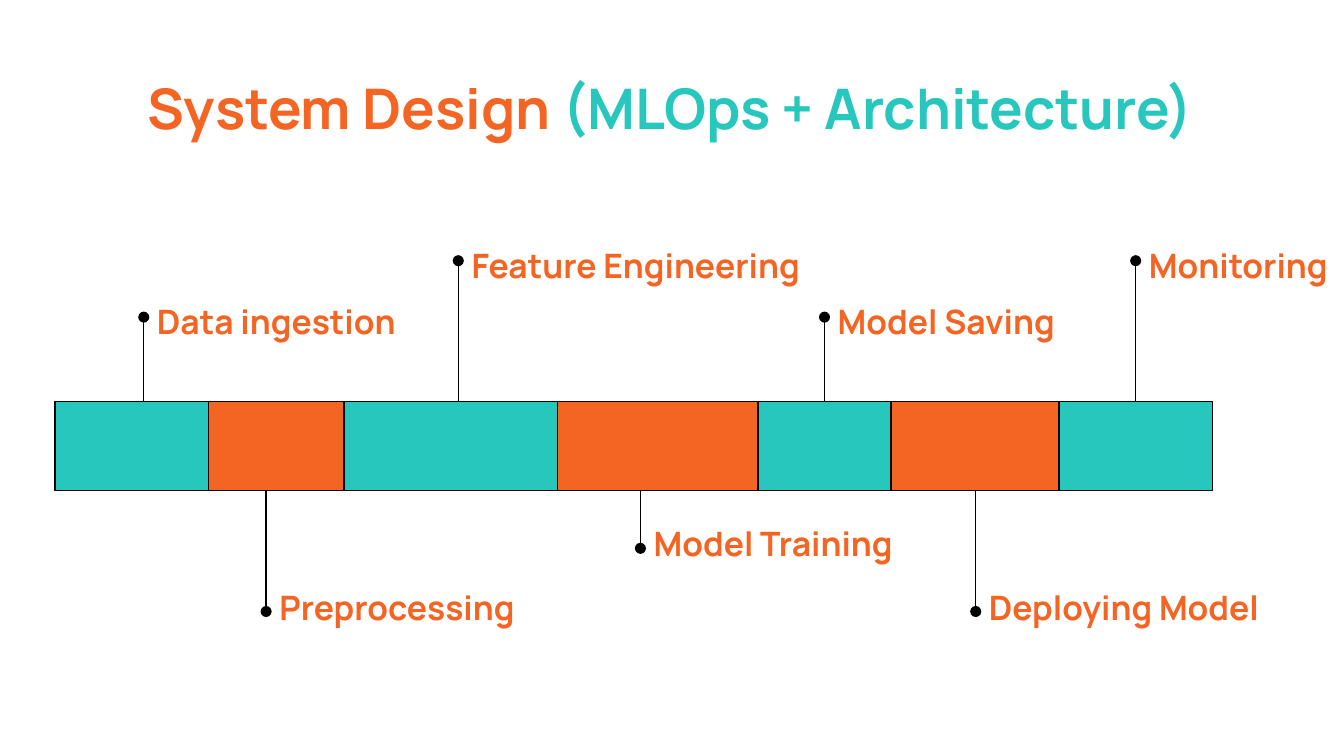
from pptx import Presentation
from pptx.dml.color import RGBColor as Rgb
from pptx.enum.shapes import MSO_CONNECTOR as Link, MSO_SHAPE as Form
from pptx.enum.text import MSO_ANCHOR as Anchor, PP_ALIGN as Align
from pptx.oxml.ns import qn
from pptx.util import Inches, Pt
from lxml.etree import SubElement as Sub

COLS, ROWS = 100, 56.25
ORANGE, TEAL, BLACK = "F46524", "27C7BD", "000000"
BAR = (4.1, 29.9, 86.1, 6.6)
TITLE = (3.3, 4.5, 93.2, 7)
STAGES = [
    ("Data ingestion", 0, 11.4, 10.7, 23.6, 21.4),
    ("Preprocessing", 11.4, 10.1, 19.8, 45.5, 22.8),
    ("Feature Engineering", 21.5, 15.9, 34.1, 19.4, 26.8),
    ("Model Training", 37.4, 15.9, 47.65, 40.8, 20.3),
    ("Model Saving", 52.3, 10, 61.35, 23.6, 19),
    ("Deploying Model", 62.2, 12.5, 72.6, 45.5, 22.8),
    ("Monitoring", 74.7, 11.4, 84.5, 19.4, 15.5),
]

deck = Presentation()
deck.slide_width, deck.slide_height = Inches(10), Inches(10 * 9 / 16)
slide = deck.slides.add_slide(deck.slide_layouts[6])


def grid(x, y):
    return round(deck.slide_width * x / COLS), round(deck.slide_height * y / ROWS)


def tint(code):
    return Rgb.from_string(code)


def write(box, parts, size, align=Align.LEFT, anchor=Anchor.MIDDLE):
    frame = slide.shapes.add_textbox(*grid(*box[:2]), *grid(*box[2:])).text_frame
    frame.word_wrap = True
    frame.vertical_anchor = anchor
    frame.margin_left = frame.margin_right = Inches(0.1)
    frame.margin_top = frame.margin_bottom = Inches(0.1)
    para = frame.paragraphs[0]
    para.alignment = align
    for text, color in parts:
        run = para.add_run()
        run.text = text
        font = run.font
        font.name, font.size, font.bold = "Manrope", Pt(size), True
        font.color.rgb = tint(color)


def edge(shape):
    shape.line.color.rgb = tint(BLACK)
    shape.line.width = Pt(0.75)


def draw_block(box, color):
    block = slide.shapes.add_shape(Form.RECTANGLE, *grid(*box[:2]), *grid(*box[2:]))
    block.shadow.inherit = False
    block.fill.solid()
    block.fill.fore_color.rgb = tint(color)
    edge(block)


def draw_pin(col, start, tip):
    pin = slide.shapes.add_connector(Link.STRAIGHT, *grid(col, start), *grid(col, tip))
    edge(pin)
    props = pin.element.spPr
    Sub(props.find(qn("a:ln")), qn("a:tailEnd"), type="oval")
    Sub(props, qn("a:effectLst"))


def draw_title(box):
    parts = [("System Design ", ORANGE), ("(MLOps + Architecture)", TEAL)]
    write(box, parts, 30, Align.CENTER, Anchor.TOP)


def draw_line(box):
    left, top, _, height = box
    for i, (name, start, width, col, tip, span) in enumerate(STAGES):
        above = tip < top
        draw_pin(col, top if above else top + height, tip)
        draw_block((left + start, top, width, height), (TEAL, ORANGE)[i % 2])
        lift = 1.85 if above else 2.5
        write((col, tip - lift, span, 4.3), [(name, ORANGE)], 18)


draw_title(TITLE)
draw_line(BAR)
deck.save("out.pptx")
